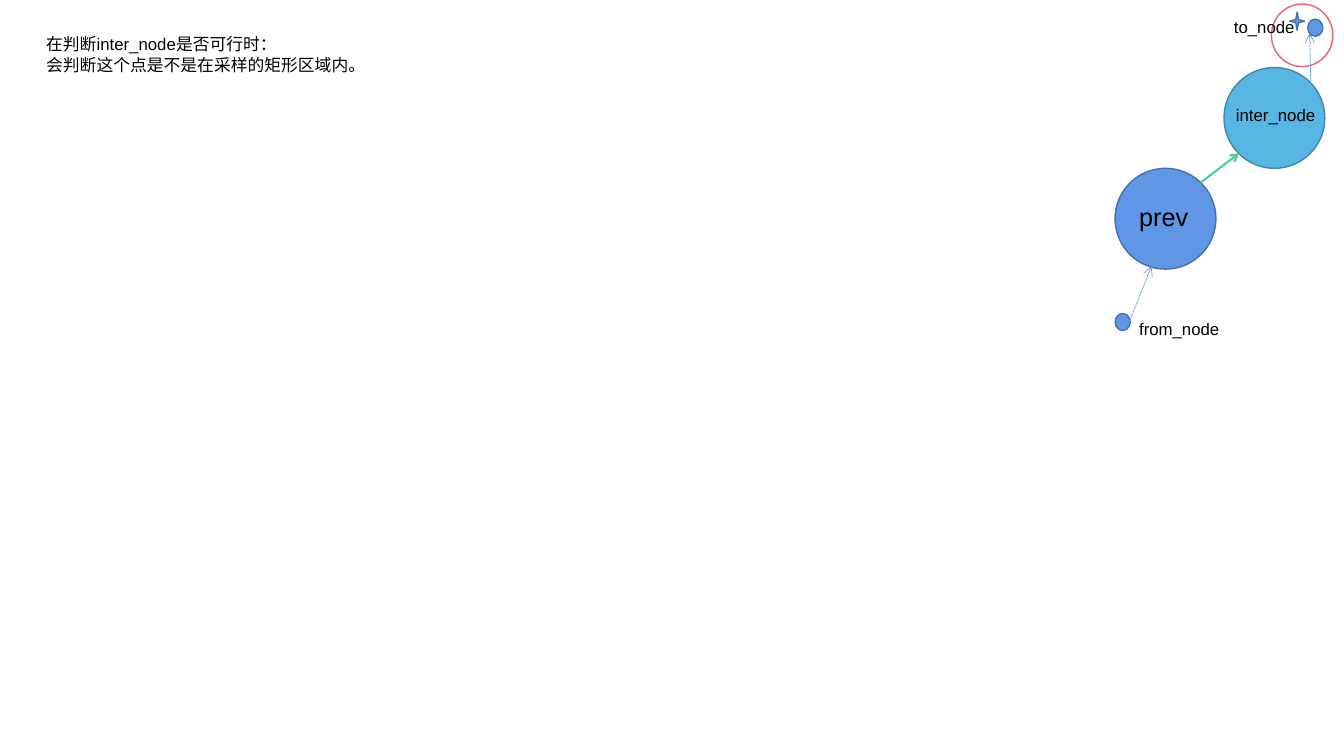
from lxml.etree import SubElement
from pptx import Presentation
from pptx.dml.color import RGBColor
from pptx.enum.dml import MSO_LINE
from pptx.enum.shapes import MSO_CONNECTOR, MSO_SHAPE
from pptx.enum.text import MSO_AUTO_SIZE
from pptx.oxml.ns import qn
from pptx.util import Inches, Pt

BLACK = RGBColor(0x00, 0x00, 0x00)
WHITE = RGBColor(0xFF, 0xFF, 0xFF)
BLUE = RGBColor(0x60, 0x96, 0xE6)
NAVY = RGBColor(0x47, 0x6F, 0xAA)
SKY = RGBColor(0x58, 0xB6, 0xE5)
TEAL = RGBColor(0x41, 0x87, 0xA9)
GREEN = RGBColor(0x56, 0xCA, 0x95)
RED = RGBColor(0xEC, 0x5F, 0x74)


def place(box, x, y):
    return Inches(box[0] + x), Inches(box[1] + y)


def add_text(slide, box, text, x=0, y=0, wide=1, high=0.3, size=12,
             wrap=False, color=BLACK, font="Arial"):
    label = slide.shapes.add_textbox(*place(box, x, y), Inches(wide), Inches(high))
    frame = label.text_frame
    frame.word_wrap = wrap
    frame.auto_size = MSO_AUTO_SIZE.SHAPE_TO_FIT_TEXT
    frame.text = text
    for para in frame.paragraphs:
        para.font.size = Pt(size)
        para.font.name = font
        para.font.color.rgb = color


def add_mark(slide, box, x, y, wide, high, fill=BLUE, edge=NAVY, kind=MSO_SHAPE.OVAL):
    mark = slide.shapes.add_shape(kind, *place(box, x, y), Inches(wide), Inches(high))
    mark.shadow.inherit = False
    mark.fill.solid()
    mark.fill.fore_color.rgb = fill
    mark.line.color.rgb = edge
    mark.line.width = Pt(1)


def add_arrow(slide, box, start, end, color=BLUE, width=0.5, dash=MSO_LINE.SQUARE_DOT):
    arrow = slide.shapes.add_connector(
        MSO_CONNECTOR.STRAIGHT, *place(box, *start), *place(box, *end))
    arrow.line.color.rgb = color
    arrow.line.width = Pt(width)
    if dash:
        arrow.line.dash_style = dash
    props = arrow.element.spPr
    SubElement(props.find(qn("a:ln")), qn("a:tailEnd"), type="arrow")
    SubElement(props, qn("a:effectLst"))


def draw_note(slide, box):
    add_text(slide, box, "在判断inter_node是否可行时:\n会判断这个点是不是在采样的矩形区域内。".replace(":", "："),
             wide=box[2], high=box[3], wrap=True)


def draw_graph(slide, box):
    node, dot = (1, 1), (0.15, 0.17)
    add_mark(slide, box, 0, 1.63, *node)
    add_mark(slide, box, 1.08, 0.63, *node, fill=SKY, edge=TEAL)
    add_arrow(slide, box, (0.85, 1.77), (1.23, 1.48), color=GREEN, width=1.5, dash=None)
    add_text(slide, box, "prev", x=0.14, y=1.91, wide=0.69, high=0.4, size=18)
    add_text(slide, box, "inter_node", x=1.1, y=0.95, wide=0.99)
    add_mark(slide, box, 0, 3.07, *dot)
    add_mark(slide, box, 1.55, 0, 0.61, 0.62, fill=WHITE, edge=RED)
    add_mark(slide, box, 1.91, 0.15, *dot)
    add_arrow(slide, box, (0.14, 3.16), (0.36, 2.6))
    add_arrow(slide, box, (1.94, 0.77), (1.93, 0.29))
    add_text(slide, box, "from_node", x=0.14, y=3.07)
    add_text(slide, box, "to_node", x=1.08, y=0.08, wide=0.8)
    add_mark(slide, box, 1.73, 0.08, 0.15, 0.18, kind=MSO_SHAPE.STAR_4_POINT)


deck = Presentation()
deck.slide_width = Inches(13.33)
deck.slide_height = Inches(7.5)
page = deck.slides.add_slide(deck.slide_layouts[6])
draw_note(page, (0.36, 0.29, 12.34, 0.5))
draw_graph(page, (11.06, 0.04))
deck.save("out.pptx")
